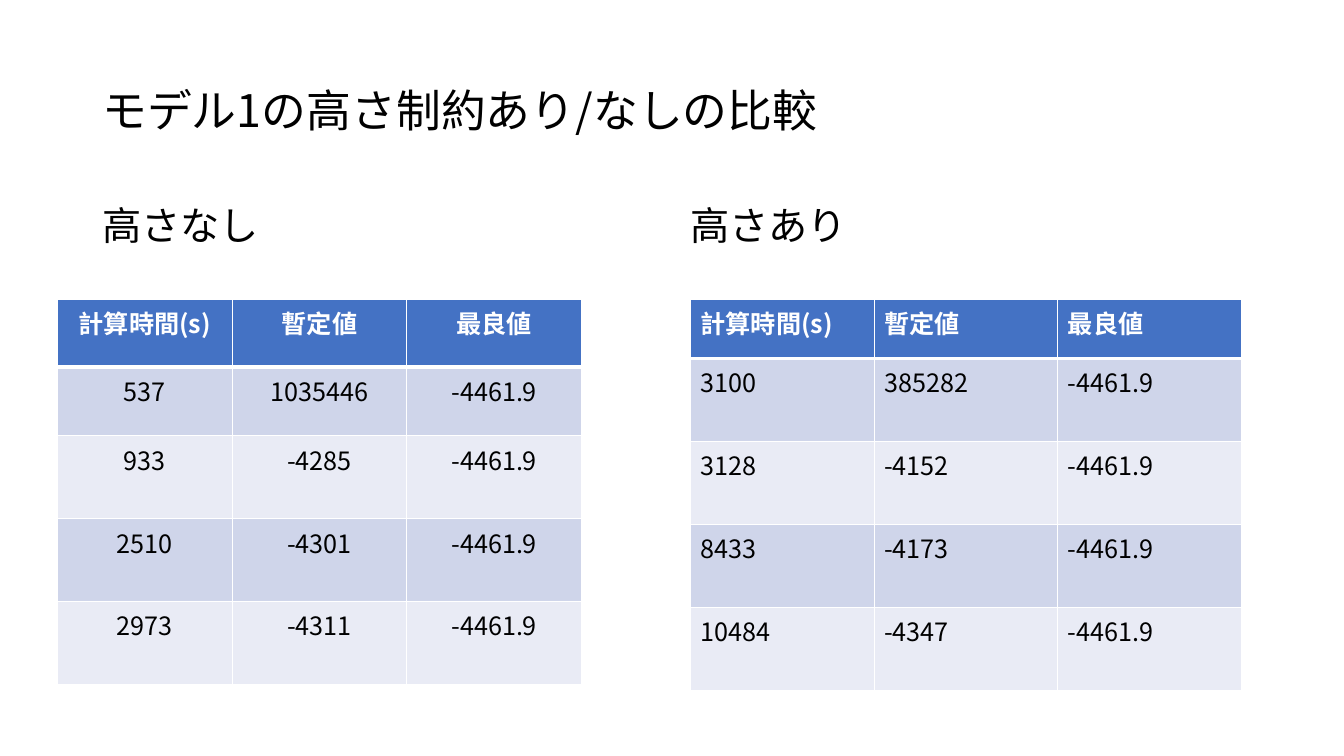
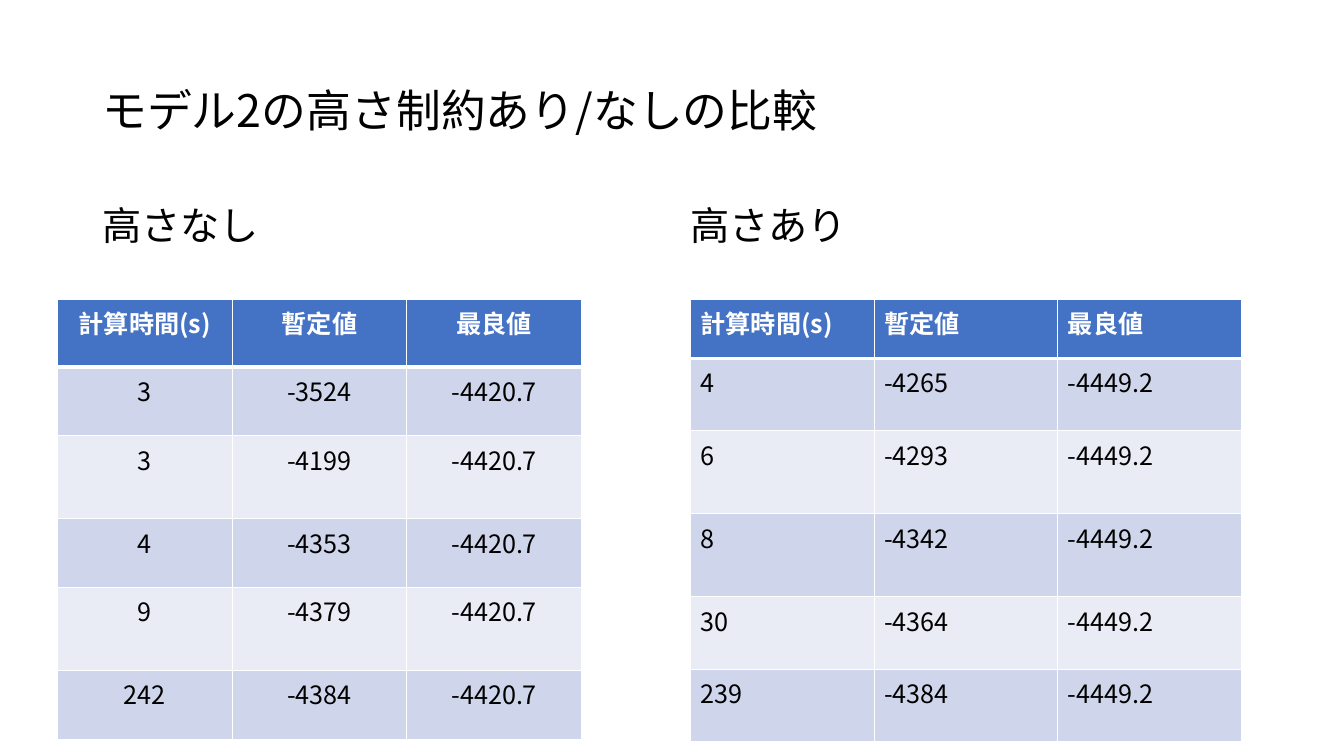
from lxml import etree
from pptx import Presentation
from pptx import util as u
from pptx.dml.color import RGBColor
from pptx.enum import text as t
from pptx.oxml.ns import qn

WIDE, HIGH = u.Inches(13.333), u.Inches(7.5)
COLS, ROWS = 160, 90
FONT = "Noto Sans CJK JP"
HUES = {"ink": "000000", "head": "4472C4", "odd": "CFD5EA",
        "even": "E9EBF5", "line": "FFFFFF"}
LOOKS = {
    "title": {"size": u.Pt(32), "bold": False},
    "side": {"size": u.Pt(28), "bold": False},
    "head": {"size": u.Pt(18), "bold": True},
    "cell": {"size": u.Pt(18), "bold": False},
}
HEADS = ["計算時間(s)", "暫定値", "最良値"]
TALL = 9.88
SIDES = [
    {"name": "高さなし", "left": 11, "grid": 6.84, "wide": 62.4,
     "head": 8.04, "row": 8.2, "align": t.PP_ALIGN.CENTER},
    {"name": "高さあり", "left": 81, "grid": 82.2, "wide": 65.6,
     "head": 7.04, "row": 8.62, "align": t.PP_ALIGN.LEFT},
]
MODELS = [
    [{"best": "-4461.9", "tall": {2, 3, 4},
      "runs": [("537", "1035446"), ("933", "-4285"),
               ("2510", "-4301"), ("2973", "-4311")]},
     {"best": "-4461.9", "tall": {1, 2, 3, 4},
      "runs": [("3100", "385282"), ("3128", "-4152"),
               ("8433", "-4173"), ("10484", "-4347")]}],
    [{"best": "-4420.7", "tall": {2, 4},
      "runs": [("3", "-3524"), ("3", "-4199"), ("4", "-4353"),
               ("9", "-4379"), ("242", "-4384")]},
     {"best": "-4449.2", "tall": {2, 3},
      "runs": [("4", "-4265"), ("6", "-4293"), ("8", "-4342"),
               ("30", "-4364"), ("239", "-4384")]}],
]


def col(n):
    return round(WIDE * n / COLS)


def row(n):
    return round(HIGH * n / ROWS)


def style(item, looks):
    for key, val in looks.items():
        setattr(item, key, val)


def write(para, words, look, hue, form):
    run = para.add_run()
    run.text = words
    style(run.font, {"name": FONT, **LOOKS[look]})
    run.font.color.rgb = RGBColor.from_string(HUES[hue])
    etree.SubElement(run.font._element, qn("a:ea"), typeface=FONT)
    style(para, form)


def label(slide, words, box, look, anchor, form):
    x, y, w, h = box
    frame = slide.shapes.add_textbox(col(x), row(y), col(w), row(h)).text_frame
    style(frame, {"word_wrap": True, "vertical_anchor": anchor})
    write(frame.paragraphs[0], words, look, "ink", {"line_spacing": 0.9, **form})


def edge(cell, tag, width):
    line = etree.SubElement(cell._tc.get_or_add_tcPr(), qn("a:" + tag),
                            w=str(u.Pt(width)))
    fill = etree.SubElement(line, qn("a:solidFill"))
    etree.SubElement(fill, qn("a:srgbClr"), val=HUES["line"])


def paint(cell, words, r, align):
    top = r == 0
    for tag in ("lnL", "lnR", "lnT", "lnB"):
        thick = (top and tag == "lnB") or (r == 1 and tag == "lnT")
        edge(cell, tag, 3 if thick else 1)
    cell.fill.solid()
    hue = "head" if top else "odd" if r % 2 else "even"
    cell.fill.fore_color.rgb = RGBColor.from_string(HUES[hue])
    write(cell.text_frame.paragraphs[0], words, "head" if top else "cell",
          "line" if top else "ink", {"alignment": align})


def grid(slide, side, data):
    lines = [HEADS] + [[*run, data["best"]] for run in data["runs"]]
    highs = [side["head"]] + [TALL if r in data["tall"] else side["row"]
                              for r in range(1, len(lines))]
    table = slide.shapes.add_table(
        len(lines), len(HEADS), col(side["grid"]), row(35.64),
        col(side["wide"]), row(sum(highs))).table
    for r, line in enumerate(lines):
        table.rows[r].height = row(highs[r])
        for c, words in enumerate(line):
            paint(table.cell(r, c), words, r, side["align"])


def main():
    deck = Presentation()
    style(deck, {"slide_width": WIDE, "slide_height": HIGH})
    for num, model in enumerate(MODELS, 1):
        slide = deck.slides.add_slide(deck.slide_layouts[6])
        label(slide, f"モデル{num}の高さ制約あり/なしの比較", (11, 4.8, 138, 17.4),
              "title", t.MSO_ANCHOR.MIDDLE, {})
        for side, data in zip(SIDES, model):
            label(slide, side["name"], (side["left"], 24, 68, 57.12), "side",
                  t.MSO_ANCHOR.TOP, {"space_before": u.Pt(10)})
            grid(slide, side, data)
    deck.save("out.pptx")


main()
